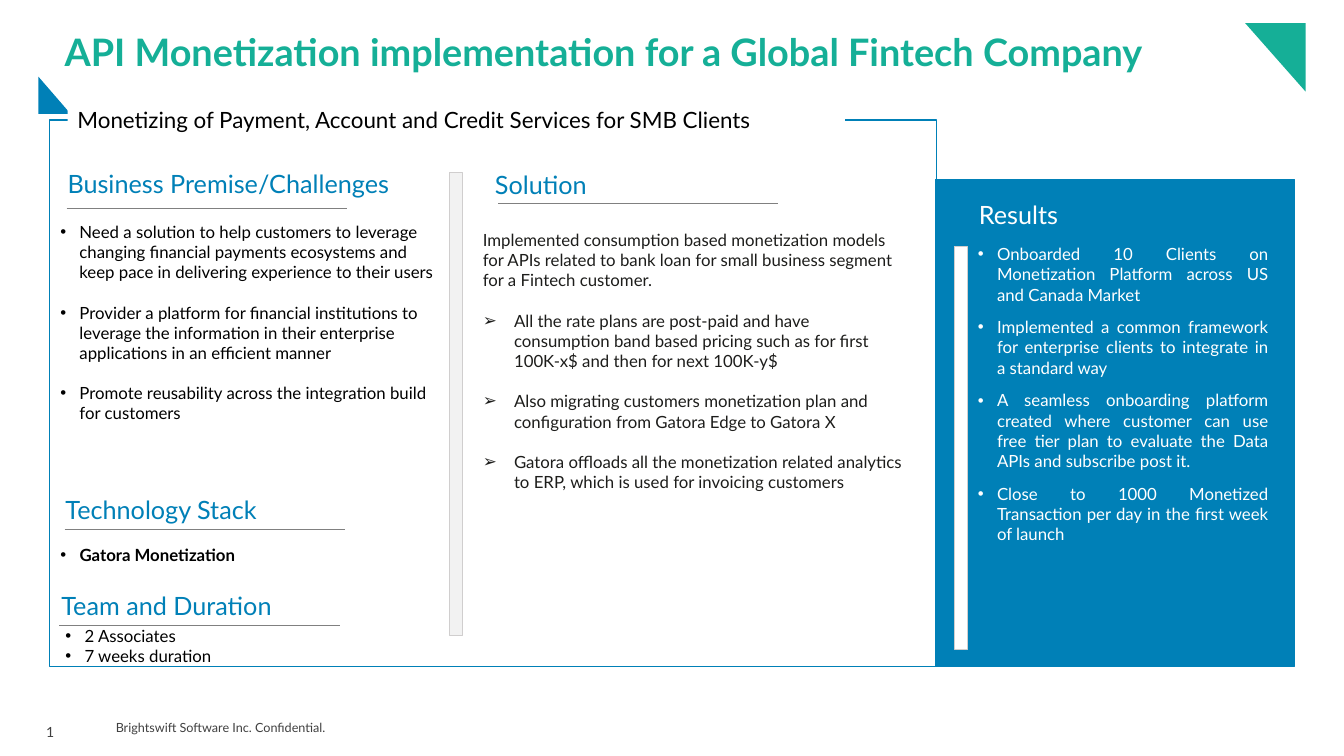
from pptx import Presentation
from pptx.dml.color import RGBColor
from pptx.enum import shapes as sh, text as tx
from pptx.oxml.ns import qn
from pptx.util import Inches, Pt
from lxml import etree

FONT = "Lato"
BLUE, GREEN, WHITE, BLACK = "0080B7", "15AF97", "FFFFFF", "000000"
GREY, EDGE, DARK, INK = "808080", "D0CECE", "404040", "1D1D1B"
RULE = 2.78
PAD = 0.1
LINE = 14.4  # one line of 12 pt text, in points


def rgb(code):
    return RGBColor.from_string(code)


def box(slide, at, fill=None, line=None, width=0.75, kind=sh.MSO_SHAPE.RECTANGLE):
    shape = slide.shapes.add_shape(kind, *map(Inches, at))
    shape.shadow.inherit = False
    if fill:
        shape.fill.solid()
        shape.fill.fore_color.rgb = rgb(fill)
    else:
        shape.fill.background()
    if line:
        shape.line.color.rgb = rgb(line)
        shape.line.width = Pt(width)
    else:
        shape.line.fill.background()
    return shape


def rule(slide, x, y):
    line = slide.shapes.add_connector(
        sh.MSO_CONNECTOR.STRAIGHT, *map(Inches, (x, y, x + RULE, y)))
    line.line.color.rgb = rgb(GREY)
    line.line.width = Pt(0.5)
    etree.SubElement(line._element.spPr, qn("a:effectLst"))


def write(para, words, size, color, bold=False):
    run = para.add_run()
    run.text = words
    run.font.name = FONT
    run.font.size = Pt(size)
    run.font.bold = bold
    run.font.color.rgb = rgb(color)


def frame(shape, pad=(0, 0), wrap=True, anchor=tx.MSO_ANCHOR.TOP):
    body = shape.text_frame
    body.margin_left = body.margin_right = Inches(pad[0])
    body.margin_top = body.margin_bottom = Inches(pad[1])
    body.word_wrap = wrap
    body.vertical_anchor = anchor
    return body


def label(slide, at, words, size, color, bold=False, **style):
    body = frame(slide.shapes.add_textbox(*map(Inches, at)), **style)
    para = body.paragraphs[0]
    write(para, words, size, color, bold)
    return para


def head(slide, x, y, words, color=BLUE):
    label(slide, (x, y, 3.64, 0.3), words, 18, color)


def bullet(para, mark, indent):
    props = para._p.get_or_add_pPr()
    props.set("marL", str(Inches(indent)))
    props.set("indent", str(-Inches(indent)))
    etree.SubElement(props, qn("a:buFont")).set("typeface", "Arial")
    etree.SubElement(props, qn("a:buChar")).set("char", mark)


def points(slide, at, items, color=BLACK, bold=False, mark="•", indent=0.19,
           before=0, after=0, align=tx.PP_ALIGN.LEFT, intro=None):
    """Bulleted list, with an optional plain paragraph above it."""
    body = frame(slide.shapes.add_textbox(*map(Inches, at)), (PAD, PAD))
    lines = [intro] + items if intro else items
    for i, words in enumerate(lines):
        para = body.add_paragraph() if i else body.paragraphs[0]
        para.alignment = align
        para.space_before, para.space_after = Pt(before), Pt(after)
        if words != intro:
            bullet(para, mark, indent)
        write(para, words, 12, color, bold)


def corners(slide):
    kind = sh.MSO_SHAPE.RIGHT_TRIANGLE
    box(slide, (12.35, 0.23, 0.6, 0.68), GREEN, kind=kind).rotation = 180
    box(slide, (0.38, 0.76, 0.32, 0.37), BLUE, kind=kind)


def footer(slide):
    label(slide, (1.05, 7.05, 2.73, 0.34), "Brightswift Software Inc. Confidential.",
          9, DARK, pad=(PAD, PAD), anchor=tx.MSO_ANCHOR.MIDDLE)
    para = label(slide, (0.36, 7.06, 0.37, 0.31), "1", 10, DARK,
                 pad=(PAD, 0.05), wrap=False)
    para.line_spacing = Pt(17)


def results(slide):
    box(slide, (9.28, 1.78, 3.56, 4.83), BLUE, BLUE)
    head(slide, 9.71, 1.98, "Results", WHITE)
    points(slide, (9.6, 2.32, 3.08, 3.21), [
        "Onboarded 10 Clients on Monetization Platform across US and Canada Market",
        "Implemented a common framework for enterprise clients to integrate in "
        "a standard way",
        "A seamless onboarding platform created where customer can use free tier "
        "plan to evaluate the Data APIs and subscribe post it.",
        "Close to 1000 Monetized Transaction per day in the first week of launch",
    ], WHITE, before=3, after=6, align=tx.PP_ALIGN.JUSTIFY)
    box(slide, (9.47, 2.45, 0.13, 3.99), WHITE, EDGE)


def premise(slide):
    head(slide, 0.67, 1.67, "Business Premise/Challenges")
    rule(slide, 0.66, 2.07)
    points(slide, (0.5, 2.1, 3.93, 2.22), [
        "Need a solution to help customers to leverage changing financial payments "
        "ecosystems and keep pace in delivering experience to their users",
        "Provider a platform for financial institutions to leverage the information "
        "in their enterprise applications in an efficient manner",
        "Promote reusability across the integration build for customers",
    ], after=LINE)


def stack(slide):
    head(slide, 0.65, 4.9, "Technology Stack")
    rule(slide, 0.64, 5.25)
    points(slide, (0.5, 5.3, 3.85, 0.4), ["Gatora Monetization"], bold=True)


def team(slide):
    head(slide, 0.61, 5.86, "Team and Duration")
    rule(slide, 0.59, 6.2)
    points(slide, (0.55, 6.11, 3.85, 0.61), ["2 Associates", "7 weeks duration"])


def solution(slide):
    head(slide, 4.91, 1.68, "Solution")
    rule(slide, 4.94, 2.02)
    points(slide, (4.69, 2.18, 4.42, 3.12), [
        "All the rate plans are post-paid and have consumption band based pricing "
        "such as for first 100K-x$ and then for next 100K-y$",
        "Also migrating customers monetization plan and configuration from "
        "Gatora Edge to Gatora X",
        "Gatora offloads all the monetization related analytics to ERP, which is "
        "used for invoicing customers",
    ], INK, mark="➢", indent=0.31, after=LINE,
        intro="Implemented consumption based monetization models for APIs related to "
              "bank loan for small business segment for a Fintech customer.")


def topic(slide):
    strip = box(slide, (0.67, 1, 7.71, 0.37), WHITE)
    para = frame(strip, (PAD, 0.05), anchor=tx.MSO_ANCHOR.MIDDLE).paragraphs[0]
    para.alignment = tx.PP_ALIGN.LEFT
    write(para, "Monetizing of Payment, Account and Credit Services for SMB Clients",
          16, BLACK)


def main():
    deck = Presentation()
    deck.slide_width, deck.slide_height = Inches(13.33), Inches(7.5)
    slide = deck.slides.add_slide(deck.slide_layouts[6])
    footer(slide)
    corners(slide)
    title = label(slide, (0.64, 0.33, 12.01, 0.41),
                  "API Monetization implementation for a Global Fintech Company",
                  27, GREEN, True, anchor=tx.MSO_ANCHOR.MIDDLE)
    title.line_spacing = 0.9
    results(slide)
    box(slide, (0.49, 1.19, 8.8, 5.42), line=BLUE, width=1)
    premise(slide)
    stack(slide)
    solution(slide)
    box(slide, (4.46, 1.71, 0.13, 4.6), "F2F2F2", EDGE)
    topic(slide)
    team(slide)
    deck.save("out.pptx")


if __name__ == "__main__":
    main()
